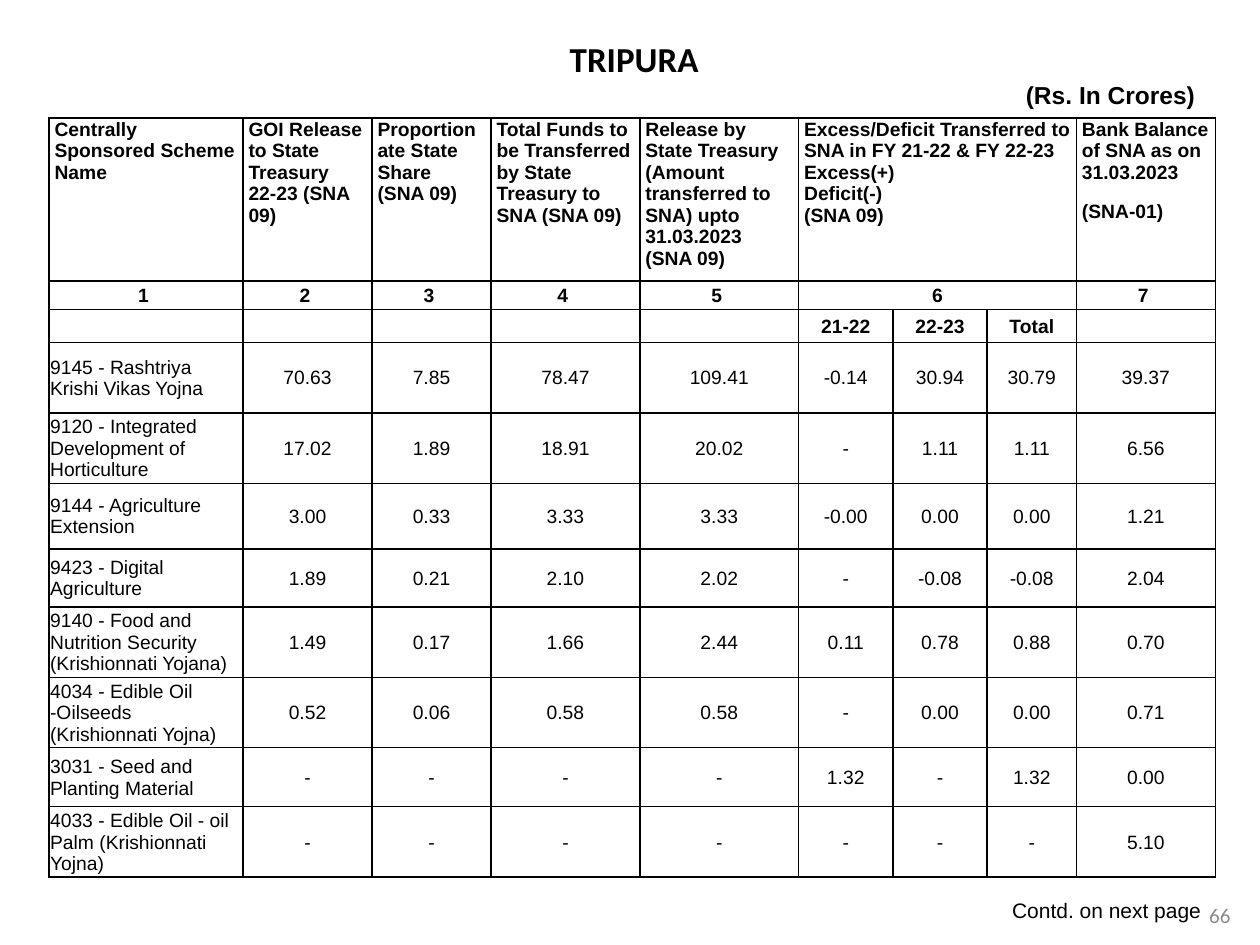
from dataclasses import dataclass
from lxml.etree import SubElement as Sub
from pptx import Presentation
from pptx.dml.color import RGBColor
from pptx.enum.text import MSO_ANCHOR as Anchor, MSO_AUTO_SIZE as Fit, PP_ALIGN as Align
from pptx.oxml.ns import qn
from pptx.util import Cm, Pt

BLACK = RGBColor(0x00, 0x00, 0x00)
GREY = RGBColor(0x8C, 0x8C, 0x8C)
WIDTHS = [3.91, 2.6, 2.4, 3, 3.2, 1.9, 1.9, 1.8, 2.8]
HEAD_ROWS = [3.28, 0.58, 0.66]
GROUP = 5


@dataclass
class Scheme:
    name: str
    high: float
    values: str


HEADS = [
    "Centrally Sponsored Scheme Name",
    "GOI Release to State Treasury\v22-23 (SNA 09)",
    "Proportionate State Share\v(SNA 09)",
    "Total Funds to be Transferred by State Treasury to SNA (SNA 09)",
    "Release by State Treasury (Amount transferred to SNA) upto 31.03.2023 (SNA 09)",
    "Excess/Deficit Transferred to SNA in FY 21-22 & FY 22-23\nExcess(+)\nDeficit(-)\n(SNA 09)",
    "", "",
    "Bank Balance of SNA as on 31.03.2023\n(SNA-01)",
]
NUMBERS = ["1 ", "2 ", "3 ", "4 ", "5 ", "6", "", "", "7 "]
YEARS = ["", "", "", "", "", "21-22", "22-23", "Total", ""]
SCHEMES = [
    Scheme("9145 - Rashtriya Krishi Vikas Yojna", 1.42,
           "70.63 7.85 78.47 109.41 -0.14 30.94 30.79 39.37"),
    Scheme("9120 - Integrated Development of Horticulture", 1.42,
           "17.02 1.89 18.91 20.02 - 1.11 1.11 6.56"),
    Scheme("9144 - Agriculture Extension", 1.32,
           "3.00 0.33 3.33 3.33 -0.00 0.00 0.00 1.21"),
    Scheme("9423 - Digital Agriculture", 1.17,
           "1.89 0.21 2.10 2.02 - -0.08 -0.08 2.04"),
    Scheme("9140 - Food and Nutrition Security (Krishionnati Yojana)", 1.42,
           "1.49 0.17 1.66 2.44 0.11 0.78 0.88 0.70"),
    Scheme("4034 - Edible Oil -Oilseeds (Krishionnati Yojna)", 1.42,
           "0.52 0.06 0.58 0.58 - 0.00 0.00 0.71"),
    Scheme("3031 - Seed and Planting Material", 1.19,
           "- - - - 1.32 - 1.32 0.00"),
    Scheme("4033 - Edible Oil - oil Palm (Krishionnati Yojna)", 1.42,
           "- - - - - - - 5.10"),
]


def write(frame, text: str, *, size=11, face="Arial", color=BLACK, bold=False,
          align=Align.LEFT, after=0, line=None, more=False) -> None:
    for num, part in enumerate(text.split("\n")):
        para = frame.add_paragraph() if num or more else frame.paragraphs[0]
        para.text = part
        para.alignment = align
        para.space_after = Pt(after)
        if line:
            para.line_spacing = line
        for run in para.runs:
            font = run.font
            font.size, font.name, font.bold = Pt(size), face, bold
            font.color.rgb = color
        if not part:
            para._p.get_or_add_endParaRPr().set("sz", str(size * 100))


def add_box(slide, left: float, top: float, width: float, high: float,
            anchor=Anchor.TOP, wrap=True, fit=Fit.NONE):
    frame = slide.shapes.add_textbox(Cm(left), Cm(top), Cm(width), Cm(high)).text_frame
    frame.word_wrap, frame.vertical_anchor, frame.auto_size = wrap, anchor, fit
    return frame


def add_edges(cell) -> None:
    props = cell._tc.get_or_add_tcPr()
    for side in ("lnL", "lnR", "lnT", "lnB"):
        edge = Sub(props, qn(f"a:{side}"), w=str(Pt(1)))
        Sub(Sub(edge, qn("a:solidFill")), qn("a:srgbClr"), val=str(BLACK))
    cell.fill.background()


def set_cell(cell, text: str, inset: float, anchor=Anchor.TOP, **form) -> None:
    cell.margin_left = cell.margin_right = Cm(inset)
    cell.margin_top, cell.margin_bottom = Cm(0.02), Cm(0)
    cell.vertical_anchor = anchor
    add_edges(cell)
    write(cell.text_frame, text, **form)


def add_grid(slide) -> None:
    highs = HEAD_ROWS + [item.high for item in SCHEMES]
    shape = slide.shapes.add_table(len(highs), len(WIDTHS), Cm(0.99), Cm(2.38),
                                   Cm(sum(WIDTHS)), Cm(sum(highs)))
    table = shape.table
    table.first_row = table.horz_banding = False
    for col, width in zip(table.columns, WIDTHS):
        col.width = Cm(width)
    for row, high in zip(table.rows, highs):
        row.height = Cm(high)
    for col in range(len(WIDTHS)):
        set_cell(table.cell(0, col), HEADS[col], 0.11, bold=True,
                 after=0 if GROUP <= col < GROUP + 3 else 10)
        set_cell(table.cell(1, col), NUMBERS[col], 0.11, bold=True,
                 align=Align.CENTER, after=10, line=1.15)
        set_cell(table.cell(2, col), YEARS[col], 0.02, Anchor.MIDDLE,
                 bold=True, align=Align.CENTER)
    for row, item in enumerate(SCHEMES, len(HEAD_ROWS)):
        for col, text in enumerate([item.name, *item.values.split()]):
            set_cell(table.cell(row, col), text, 0.02, Anchor.MIDDLE,
                     align=Align.CENTER if col else Align.LEFT)
    for row in range(2):
        table.cell(row, GROUP).merge(table.cell(row, GROUP + 2))


def main() -> None:
    deck = Presentation()
    deck.slide_width, deck.slide_height = Cm(25.4), Cm(19.05)
    slide = deck.slides.add_slide(deck.slide_layouts[6])
    title = add_box(slide, 1.09, 0.64, 23.39, 1.7, fit=Fit.SHAPE_TO_FIT_TEXT)
    write(title, "TRIPURA", size=20, face="Calibri", bold=True, align=Align.CENTER)
    write(title, "(Rs. In Crores) ", size=14, bold=True, align=Align.RIGHT, more=True)
    add_grid(slide)
    page = add_box(slide, 24.08, 17.93, 1.02, 1.02, Anchor.MIDDLE)
    write(page, "66", size=12, face="Calibri", color=GREY, align=Align.CENTER)
    note = add_box(slide, 20.14, 17.96, 4.34, 0.76, Anchor.MIDDLE, False,
                   Fit.SHAPE_TO_FIT_TEXT)
    write(note, "Contd. on next page", size=12, align=Align.CENTER)
    deck.save("out.pptx")


if __name__ == "__main__":
    main()
